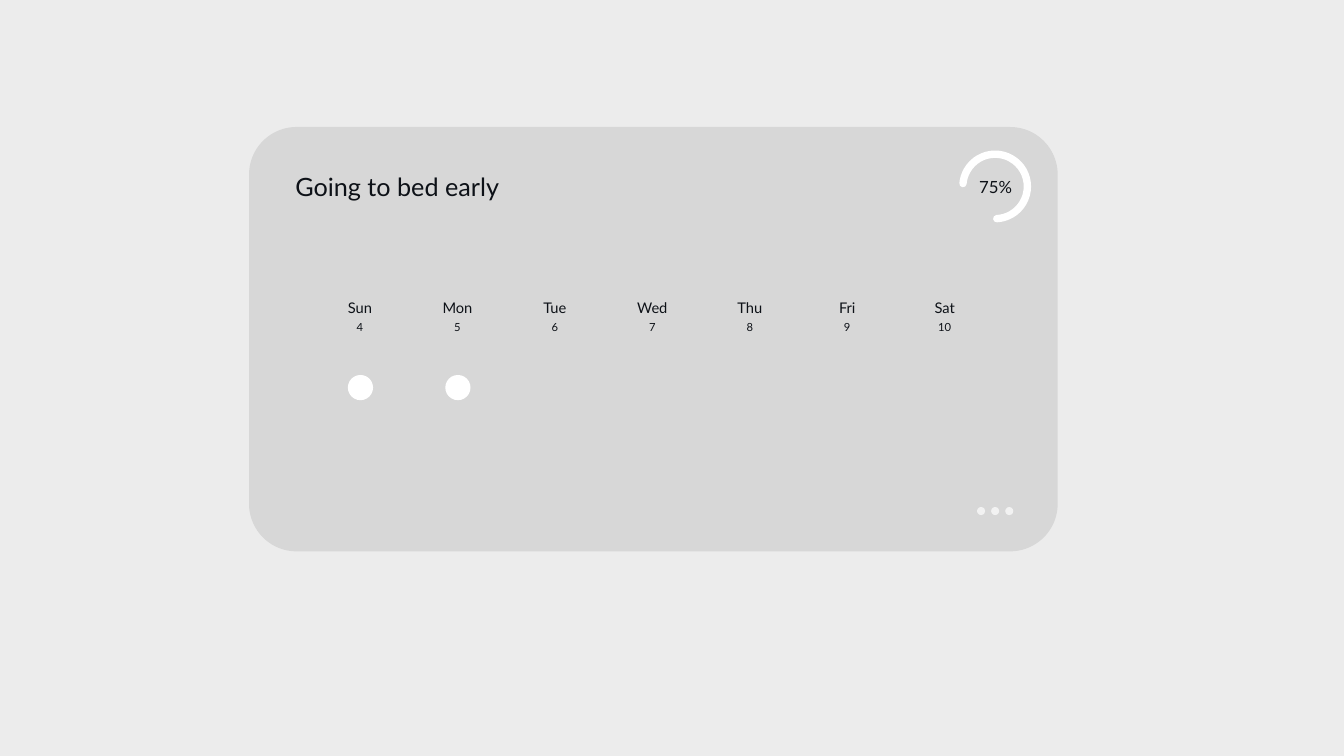
from pptx import Presentation
from pptx.dml.color import RGBColor
from pptx.enum.shapes import MSO_SHAPE as Shape
from pptx.enum.text import MSO_ANCHOR as Anchor, PP_ALIGN as Align
from pptx.util import Inches, Pt


def color(code):
    return RGBColor.from_string(code)


class Board:
    font = "Lato"
    ink = "0D1117"
    back = "ECECEC"
    card = "D7D7D7"
    mark = "FFFFFF"
    dot = "F2F2F2"

    def __init__(self, deck):
        self.slide = deck.slides.add_slide(deck.slide_layouts[6])
        fill = self.slide.background.fill
        fill.solid()
        fill.fore_color.rgb = color(self.back)

    def shape(self, kind, x, y, w, h, fill=None):
        item = self.slide.shapes.add_shape(
            kind, Inches(x), Inches(y), Inches(w), Inches(h))
        item.shadow.inherit = False
        item.line.fill.background()
        if fill:
            item.fill.solid()
            item.fill.fore_color.rgb = color(fill)
        else:
            item.fill.background()
        return item

    def circle(self, x, y, size, fill):
        self.shape(Shape.OVAL, x, y, size, size, fill)

    def ring(self, x, y, size, start, end, width):
        """Draw an arc between two angles in degrees, clockwise from the right."""
        arc = self.shape(Shape.ARC, x, y, size, size)
        for i, angle in enumerate((start, end)):
            arc.adjustments[i] = angle * 0.6
        arc.line.color.rgb = color(self.mark)
        arc.line.width = Pt(width)
        arc.line._get_or_add_ln().set("cap", "rnd")

    def text(self, x, y, w, h, lines, align=Align.LEFT, wrap=True, tight=False):
        """Each line is a pair of wording and size in points."""
        box = self.slide.shapes.add_textbox(
            Inches(x), Inches(y), Inches(w), Inches(h))
        frame = box.text_frame
        frame.word_wrap = wrap
        if tight:
            frame.margin_left = frame.margin_right = 0
            frame.margin_top = frame.margin_bottom = 0
            frame.vertical_anchor = Anchor.MIDDLE
        for i, (words, size) in enumerate(lines):
            para = frame.add_paragraph() if i else frame.paragraphs[0]
            para.text = words
            para.alignment = align
            if i:
                para.space_before = Pt(3)
            para.font.name = self.font
            para.font.size = Pt(size)
            para.font.color.rgb = color(self.ink)


def main():
    deck = Presentation()
    deck.slide_width, deck.slide_height = Inches(13.33), Inches(7.5)
    board = Board(deck)

    # Card
    card = board.shape(Shape.ROUNDED_RECTANGLE, 2.47, 1.26, 8.02, 4.21, board.card)
    card.adjustments[0] = 0.112

    # Title and progress
    board.text(9.6, 1.7, 0.55, 0.3, [("75%", 12)], Align.CENTER, wrap=False)
    board.text(2.83, 1.65, 5.19, 0.4, [("Going to bed early", 18)])
    board.ring(9.55, 1.53, 0.64, 185.07, 87.11, 5.25)

    # Menu dots
    for i in range(3):
        board.circle(9.69 + 0.14 * i, 5.03, 0.08, board.dot)

    # Week, with a mark under each day done
    days = ["Sun", "Mon", "Tue", "Wed", "Thu", "Fri", "Sat"]
    done = {"Sun", "Mon"}
    step = 5.8 / 6
    for i, day in enumerate(days):
        x = 3.21 + step * i
        board.text(x, 2.91, 0.72, 0.45, [(day, 10.5), (str(4 + i), 8)],
                   Align.CENTER, tight=True)
        if day in done:
            board.circle(x + 0.24, 3.72, 0.25, board.mark)

    deck.save("out.pptx")


if __name__ == "__main__":
    main()
